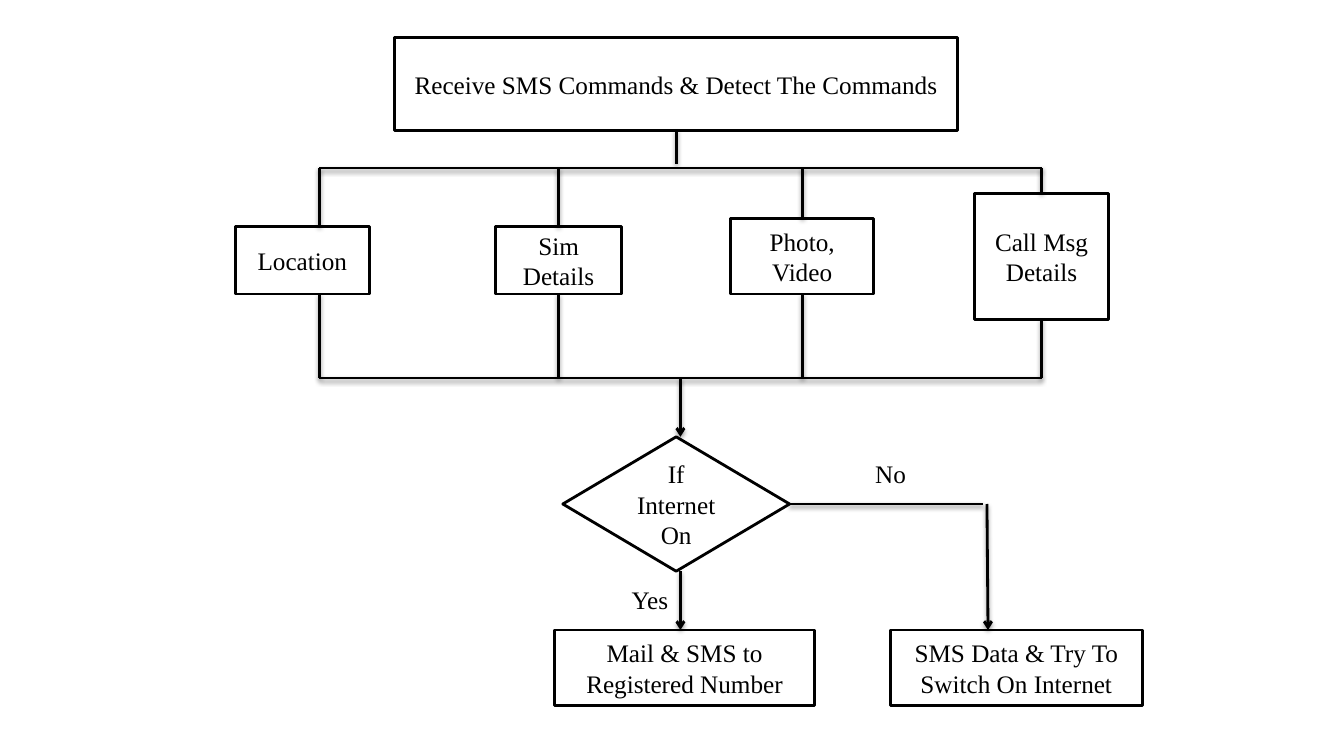
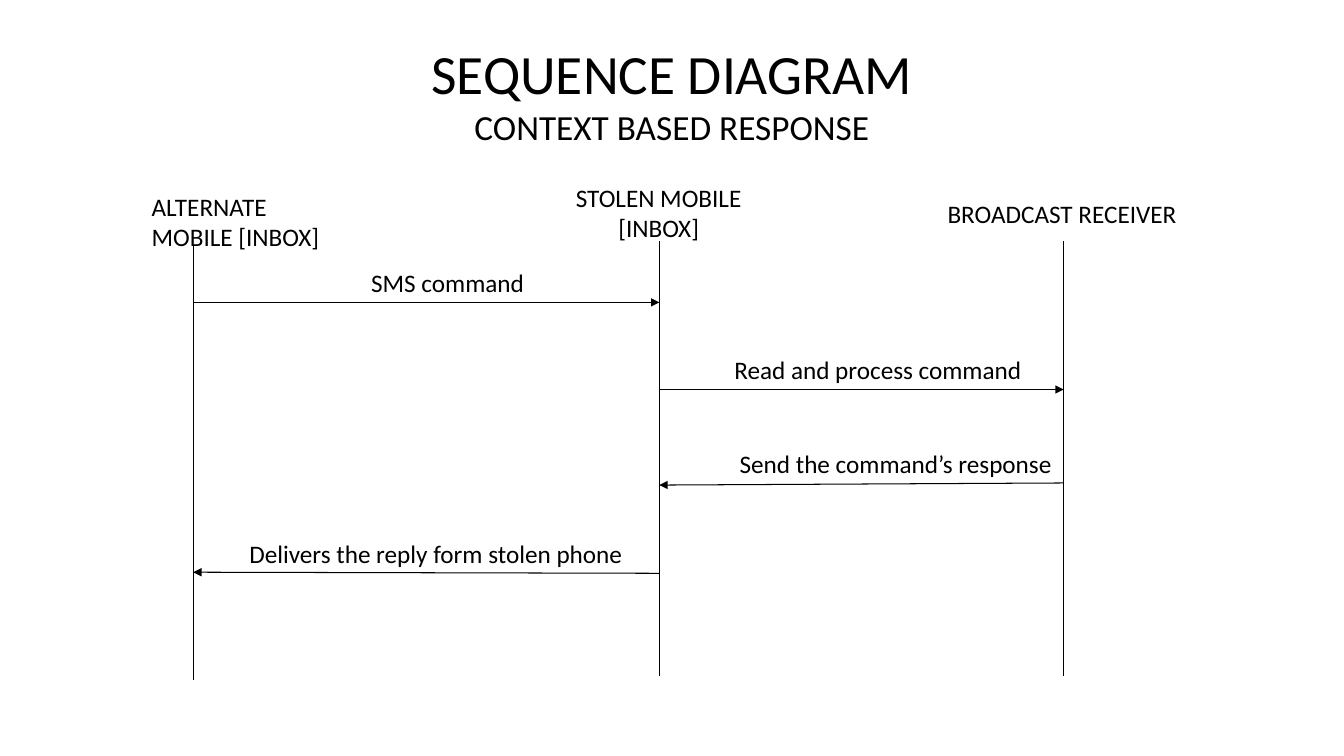
from dataclasses import dataclass
from typing import NamedTuple

from lxml import etree
from pptx import Presentation
from pptx.dml.color import RGBColor
from pptx.enum.shapes import MSO_CONNECTOR as Connector, MSO_SHAPE as Shape
from pptx.enum.text import MSO_ANCHOR as Anchor, MSO_AUTO_SIZE as AutoSize, PP_ALIGN as Align
from pptx.oxml.ns import qn
from pptx.util import Emu, Pt

EMU_PER_PX = 9525


@dataclass(frozen=True)
class Theme:
    ink: RGBColor = RGBColor(0, 0, 0)
    paper: RGBColor = RGBColor(255, 255, 255)
    flow_font: str = "Times New Roman"
    sequence_font: str = "Calibri"
    body: float = 18
    title: float = 39.6
    subtitle: float = 25.2
    flow_line: float = 2
    sequence_line: float = 0.75


THEME = Theme()


class Box(NamedTuple):
    x: int
    y: int
    w: int
    h: int

    def inner(self, x, y, w, h):
        return Box(self.x + x, self.y + y, w, h)

    def point(self, x, y):
        return self.x + x, self.y + y


def px(*lengths):
    return [Emu(length * EMU_PER_PX) for length in lengths]


def style(para, font, align):
    para.alignment = align
    para.font.name = font
    para.font.size = Pt(THEME.body)
    para.font.color.rgb = THEME.ink


def write(frame, text, font, aligns):
    """Write one paragraph per line of text, each with its own alignment."""
    for index, (line, align) in enumerate(zip(text.split("\n"), aligns)):
        para = frame.paragraphs[0] if index == 0 else frame.add_paragraph()
        style(para, font, align)
        para.add_run().text = line


def add_label(page, box, text, font, aligns=(Align.LEFT, Align.LEFT)):
    frame = page.shapes.add_textbox(*px(*box)).text_frame
    frame.word_wrap = False
    frame.auto_size = AutoSize.SHAPE_TO_FIT_TEXT
    write(frame, text, font, aligns)


def add_node(page, box, text, kind=Shape.FLOWCHART_PROCESS):
    node = page.shapes.add_shape(kind, *px(*box))
    node.shadow.inherit = False
    node.fill.solid()
    node.fill.fore_color.rgb = THEME.paper
    node.line.color.rgb = THEME.ink
    node.line.width = Pt(THEME.flow_line)
    frame = node.text_frame
    frame.word_wrap = True
    frame.vertical_anchor = Anchor.MIDDLE
    write(frame, text, THEME.flow_font, (Align.CENTER, Align.CENTER))


def add_line(page, start, end, width, head=None, shadow=False):
    line = page.shapes.add_connector(Connector.STRAIGHT, *px(*start, *end))
    line.line.color.rgb = THEME.ink
    line.line.width = Pt(width)
    if head:
        etree.SubElement(line.line._get_or_add_ln(), qn("a:tailEnd"), type=head)
    effects = etree.SubElement(line._element.spPr, qn("a:effectLst"))
    if shadow:
        outer = etree.SubElement(effects, qn("a:outerShdw"), blurRad="40000",
                                 dist="20000", dir="5400000", rotWithShape="0")
        color = etree.SubElement(outer, qn("a:srgbClr"), val=str(THEME.ink))
        etree.SubElement(color, qn("a:alpha"), val="38000")


def add_flow(page, start, end, head=None):
    add_line(page, start, end, THEME.flow_line, head, shadow=True)


def command_fan(page, box):
    """Root command, split into four branches that join again at the bottom."""
    commands = [
        (80, (0, 180, 128, 64), "Location"),
        (308, (248, 180, 120, 64), "Sim Details"),
        (540, (472, 172, 136, 72), "Photo,\nVideo"),
        (768, (704, 148, 128, 120), "Call Msg Details"),
    ]
    split, join = 124, box.h
    add_node(page, box.inner(152, 0, 536, 88), "Receive SMS Commands & Detect The Commands")
    add_flow(page, box.point(420, 88), box.point(420, 120))
    for bus in (split, join):
        add_flow(page, box.point(commands[0][0], bus), box.point(commands[-1][0], bus))
    for stem, (left, top, width, height), text in commands:
        add_node(page, box.inner(left, top, width, height), text)
        add_flow(page, box.point(stem, split), box.point(stem, top))
        add_flow(page, box.point(stem, top + height), box.point(stem, join))


def internet_decision(page, box):
    outcome_top = 240
    add_node(page, box.inner(8, 56, 216, 128), "If Internet On", Shape.FLOWCHART_DECISION)
    add_node(page, box.inner(0, outcome_top, 248, 72), "Mail & SMS to Registered Number")
    add_node(page, box.inner(320, outcome_top, 240, 72), "SMS Data & Try To Switch On Internet")
    add_flow(page, box.point(224, 120), box.point(408, 120))
    for start, end in (
        ((120, 0), (120, 56)),
        ((120, 184), (120, outcome_top)),
        ((412, 120), (413, outcome_top)),
    ):
        add_flow(page, box.point(*start), box.point(*end), "arrow")
    add_label(page, box.inner(296, 72, 49, 38), "No", THEME.flow_font)
    add_label(page, box.inner(64, 192, 55, 38), "Yes", THEME.flow_font)


def title_block(page, box, title, subtitle):
    frame = page.shapes.add_textbox(*px(*box)).text_frame
    frame.word_wrap = True
    frame.vertical_anchor = Anchor.MIDDLE
    para = frame.paragraphs[0]
    style(para, THEME.sequence_font, Align.CENTER)
    for text, size in ((title, THEME.title), (subtitle, THEME.subtitle)):
        if para.runs:
            para.add_line_break()
        span = para.add_run()
        span.text = text
        span.font.size = Pt(size)


def sequence_chart(page, box):
    """Lifelines with their names, and the messages passed between them."""
    font, width = THEME.sequence_font, THEME.sequence_line
    label_height, lifeline_length = 38, 414
    mobile, stolen, receiver = 49, 493, 878
    left, center = Align.LEFT, Align.CENTER
    lifelines = [
        (mobile, 65, (0, 8, 180, 68), "ALTERNATE\nMOBILE [INBOX]", (left, left)),
        (stolen, 61, (404, 0, 179, 68), "STOLEN MOBILE\n[INBOX]", (left, center)),
        (receiver, 61, (758, 15, 239, 38), "BROADCAST RECEIVER", (left,)),
    ]
    for x, top, name_box, name, aligns in lifelines:
        add_line(page, box.point(x, top), box.point(x, top + lifeline_length), width)
        add_label(page, box.inner(*name_box), name, font, aligns)

    messages = [
        ((mobile, 119), (stolen, 119), 209, 167, "SMS command"),
        ((stolen, 202), (receiver, 202), 555, 296, "Read and process command"),
        ((receiver, 291), (stolen, 293), 560, 320, "Send the command’s response"),
        ((stolen, 377), (mobile, 376), 93, 379, "Delivers the reply form stolen phone"),
    ]
    for start, end, label_left, label_width, text in messages:
        add_line(page, box.point(*start), box.point(*end), width, "triangle")
        label = box.inner(label_left, start[1] - label_height, label_width, label_height)
        add_label(page, label, text, font)


def main():
    deck = Presentation()
    deck.slide_width, deck.slide_height = px(1280, 720)
    blank = deck.slide_layouts[6]

    flow_page = deck.slides.add_slide(blank)
    command_fan(flow_page, Box(224, 36, 832, 324))
    internet_decision(flow_page, Box(528, 360, 560, 312))

    sequence_page = deck.slides.add_slide(blank)
    title_block(sequence_page, Box(64, 29, 1152, 120),
                "SEQUENCE DIAGRAM", "CONTEXT BASED RESPONSE")
    sequence_chart(sequence_page, Box(135, 169, 997, 479))

    deck.save("out.pptx")


if __name__ == "__main__":
    main()
